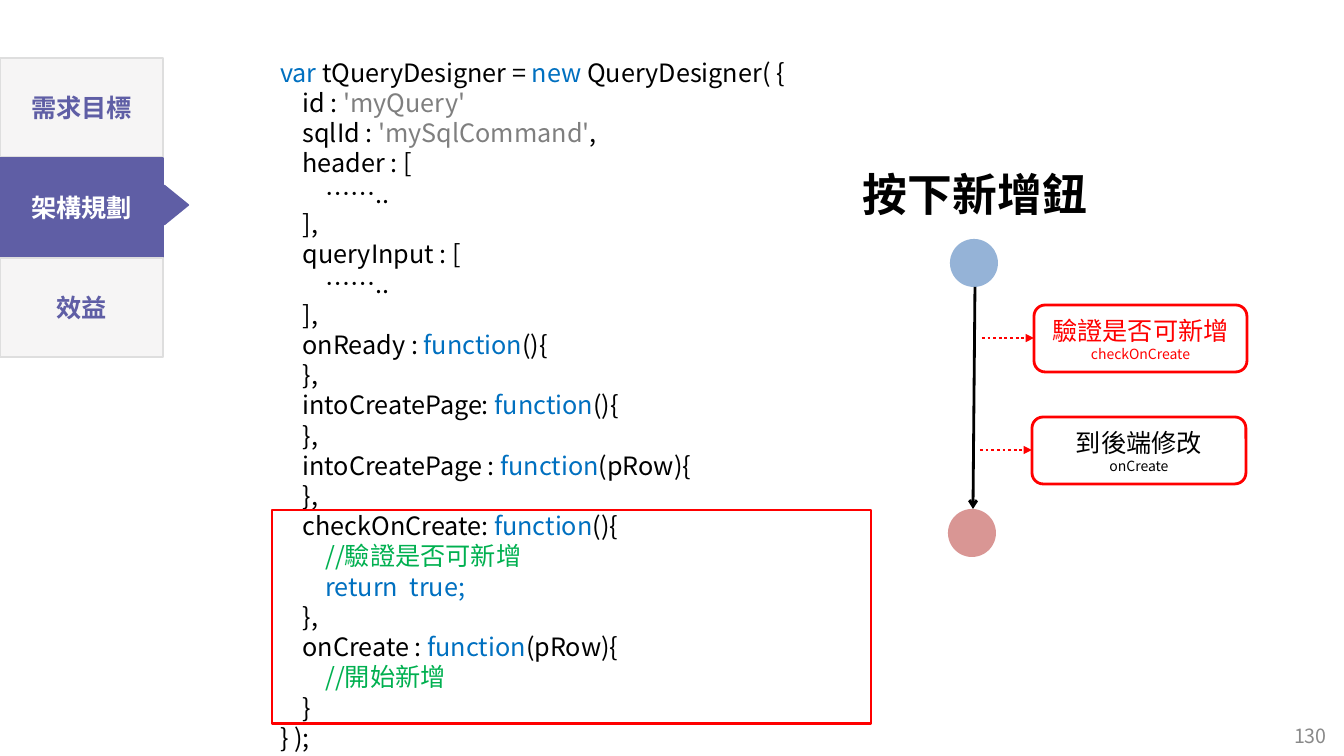
from dataclasses import dataclass
from typing import Optional

from pptx import Presentation
from pptx.dml.color import RGBColor
from pptx.enum.dml import MSO_LINE
from pptx.enum.shapes import MSO_CONNECTOR, MSO_SHAPE
from pptx.enum.text import MSO_ANCHOR, MSO_AUTO_SIZE, PP_ALIGN
from pptx.oxml.ns import qn
from pptx.util import Emu, Pt
from lxml.etree import SubElement

FONT = "Noto Sans CJK SC"
LINE_HEIGHT = 1.2
SLIDE_SIZE = (1344, 756)
COLORS = {
    "black": "000000", "white": "FFFFFF", "red": "FF0000", "keyword": "0070C0",
    "string": "7F7F7F", "comment": "00B050", "purple": "5F5EA5", "pale": "F6F5F5",
    "border": "DEDEDE", "start": "95B3D7", "end": "D99694", "number": "898989",
}
Box = tuple[int, int, int, int]
Point = tuple[int, int]
Run = tuple[str, str]


@dataclass
class Line:
    runs: list[Run]
    size: int = 18
    bold: bool = False
    align: PP_ALIGN = PP_ALIGN.CENTER


@dataclass
class Panel:
    kind: MSO_SHAPE
    box: Box
    fill: Optional[str] = None
    border: Optional[str] = None
    weight: int = 1
    rotation: int = 0
    lines: tuple[Line, ...] = ()


@dataclass
class Arrow:
    start: Point
    end: Point
    color: str
    head: str
    dotted: bool = False


@dataclass
class Tab:
    label: str
    active: bool = False


@dataclass
class Step:
    box: Box
    label: str
    callback: str
    color: str


FUNCTION: Run = ("function", "keyword")


def plain(text: str) -> list[Run]:
    return [(text, "black")]


def callback(name: str, ending: str) -> list[Run]:
    return [(f"    {name}", "black"), FUNCTION, (ending, "black")]


CODE: list[list[Run]] = [
    [("var", "keyword"), (" tQueryDesigner = ", "black"),
     ("new", "keyword"), (" QueryDesigner( {", "black")],
    [("    id : ", "black"), ("'myQuery'", "string")],
    [("    sqlId : ", "black"), ("'mySqlCommand'", "string"), (",", "black")],
    plain("    header : ["),
    plain("        …….."),
    plain("    ],"),
    plain("    queryInput : ["),
    plain("        …….."),
    plain("    ],"),
    callback("onReady : ", "(){"),
    plain("    },"),
    callback("intoCreatePage: ", "(){"),
    plain("    },"),
    callback("intoCreatePage : ", "(pRow){"),
    plain("    },"),
    callback("checkOnCreate: ", "(){"),
    [("        //驗證是否可新增", "comment")],
    [("        return  true;", "keyword")],
    plain("    },"),
    callback("onCreate : ", "(pRow){"),
    [("        //開始新增", "comment")],
    plain("    }"),
    plain("} );"),
]
TABS = [Tab("需求目標"), Tab("架構規劃", True), Tab("效益")]
TAB_TOP, TAB_PITCH, TAB_WIDTH, TAB_HEIGHT = 58, 100, 163, 99
STEPS = [
    Step((1032, 417, 214, 67), "到後端修改", "onCreate", "black"),
    Step((1034, 305, 213, 67), "驗證是否可新增", "checkOnCreate", "red"),
]


def px(value: int) -> Emu:
    return Emu(round(value * 12192000 / SLIDE_SIZE[0]))


def color(name: str) -> RGBColor:
    return RGBColor.from_string(COLORS[name])


def place(shape, box: Box) -> None:
    shape.left, shape.top, shape.width, shape.height = map(px, box)


def write(frame, lines, anchor=MSO_ANCHOR.MIDDLE, margin: int = 0) -> None:
    frame.word_wrap = True
    frame.auto_size = MSO_AUTO_SIZE.NONE
    frame.vertical_anchor = anchor
    frame.margin_left = frame.margin_right = px(2 * margin)
    frame.margin_top = frame.margin_bottom = px(margin)
    for index, line in enumerate(lines):
        paragraph = frame.add_paragraph() if index else frame.paragraphs[0]
        paragraph.alignment = line.align
        paragraph.line_spacing = Pt(line.size * LINE_HEIGHT)
        font = paragraph.font
        font.size, font.bold, font.name = Pt(line.size), line.bold, FONT
        shared = len({name for _, name in line.runs}) == 1
        if shared:
            font.color.rgb = color(line.runs[0][1])
        properties = paragraph._p.pPr.find(qn("a:defRPr"))
        SubElement(properties, qn("a:ea")).set("typeface", FONT)
        for text, name in line.runs:
            run = paragraph.add_run()
            run.text = text
            if not shared:
                run.font.color.rgb = color(name)


def add_panel(slide, panel: Panel) -> None:
    shape = slide.shapes.add_shape(panel.kind, *map(px, panel.box))
    shape.shadow.inherit = False
    shape.rotation = panel.rotation
    if panel.fill:
        shape.fill.solid()
        shape.fill.fore_color.rgb = color(panel.fill)
    else:
        shape.fill.background()
    if panel.border:
        shape.line.color.rgb = color(panel.border)
        shape.line.width = Pt(panel.weight)
    else:
        shape.line.fill.background()
    if panel.lines:
        write(shape.text_frame, panel.lines)


def add_arrow(slide, arrow: Arrow) -> None:
    connector = slide.shapes.add_connector(
        MSO_CONNECTOR.STRAIGHT, *map(px, arrow.start + arrow.end))
    connector.line.color.rgb = color(arrow.color)
    connector.line.width = Pt(2)
    if arrow.dotted:
        connector.line.dash_style = MSO_LINE.ROUND_DOT
    outline = connector.line._get_or_add_ln()
    SubElement(outline, qn("a:tailEnd")).set("type", arrow.head)
    SubElement(connector._element.spPr, qn("a:effectLst"))


def add_text(slide, box: Box, lines, anchor=MSO_ANCHOR.MIDDLE, margin: int = 0) -> None:
    write(slide.shapes.add_textbox(*map(px, box)).text_frame, lines, anchor, margin)


def add_step(slide, step: Step) -> None:
    left, top, _, height = step.box
    middle = top + height // 2
    add_arrow(slide, Arrow((left - 52, middle), (left, middle), "red", "triangle", True))
    lines = (Line([(step.label, step.color)]), Line([(step.callback, step.color)], 10))
    add_panel(slide, Panel(MSO_SHAPE.ROUNDED_RECTANGLE, step.box, None, "red", 2, 0, lines))


def add_tab(slide, index: int, tab: Tab) -> None:
    fill, border, ink = ("purple", "purple", "white") if tab.active else ("pale", "border", "purple")
    box = (0, TAB_TOP + index * TAB_PITCH, TAB_WIDTH, TAB_HEIGHT)
    label = Line([(tab.label, ink)], bold=True)
    add_panel(slide, Panel(MSO_SHAPE.RECTANGLE, box, fill, border, lines=(label,)))


def main() -> None:
    presentation = Presentation()
    presentation.slide_width, presentation.slide_height = map(px, SLIDE_SIZE)
    slide = presentation.slides.add_slide(presentation.slide_layouts[5])
    title = slide.shapes.title
    place(title, (844, 162, 262, 64))
    write(title.text_frame, [Line(plain("按下新增鈕"), 32, True)])
    code = [Line(runs, align=PP_ALIGN.LEFT) for runs in CODE]
    add_text(slide, (270, 52, 545, 704), code, MSO_ANCHOR.TOP, 5)
    add_panel(slide, Panel(MSO_SHAPE.OVAL, (948, 509, 48, 48), "end"))
    add_panel(slide, Panel(MSO_SHAPE.OVAL, (950, 239, 48, 48), "start"))
    add_arrow(slide, Arrow((975, 287), (973, 509), "black", "arrow"))
    for step in STEPS:
        add_step(slide, step)
    add_panel(slide, Panel(MSO_SHAPE.RECTANGLE, (272, 510, 599, 214), None, "red", 2))
    for index, tab in enumerate(TABS):
        add_tab(slide, index, tab)
    add_panel(slide, Panel(MSO_SHAPE.FLOWCHART_EXTRACT, (157, 193, 39, 24), "purple", "purple", rotation=90))
    add_text(slide, (1277, 716, 67, 40), [Line([("130", "number")], 14)])
    presentation.save("out.pptx")


if __name__ == "__main__":
    main()
